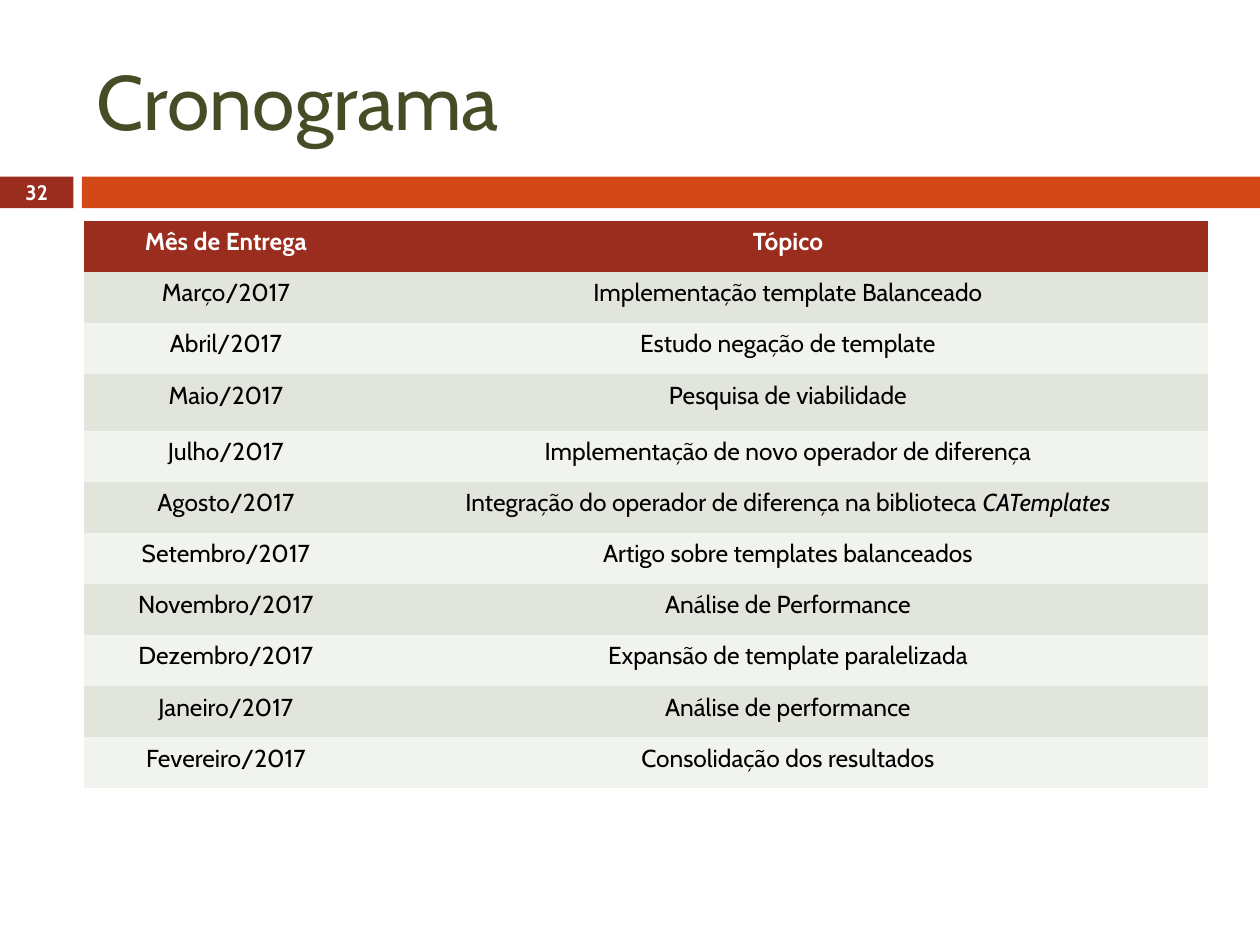
from pptx import Presentation
from pptx.dml.color import RGBColor
from pptx.enum.shapes import MSO_SHAPE
from pptx.enum.text import MSO_ANCHOR, PP_ALIGN
from pptx.oxml.ns import qn
from pptx.util import Cm, Pt

FONT = "Cabin"
DARK_RED, ORANGE, OLIVE = "9B2D1F", "D34817", "444D26"
WHITE, BLACK = "FFFFFF", "000000"
BANDS = ["E1E5DC", "F0F3EE"]
PLAIN_TABLE = "{2D5ABB26-0587-4C30-8999-92F81FD0307C}"
ROW_HEIGHT, TALL_ROW_HEIGHT, TALL_ROW = 1.03, 1.14, 3
MONTH_WIDTH = 5.71

SCHEDULE = [
    ("Mês de Entrega", "Tópico"),
    ("Março/2017", "Implementação template Balanceado"),
    ("Abril/2017", "Estudo negação de template"),
    ("Maio/2017", "Pesquisa de viabilidade"),
    ("Julho/2017", "Implementação de novo operador de diferença"),
    ("Agosto/2017", "Integração do operador de diferença na biblioteca ", "CATemplates"),
    ("Setembro/2017", "Artigo sobre templates balanceados"),
    ("Novembro/2017", "Análise de Performance"),
    ("Dezembro/2017", "Expansão de template paralelizada"),
    ("Janeiro/2017", "Análise de performance"),
    ("Fevereiro/2017", "Consolidação dos resultados"),
]


def paint(target, color):
    target.solid()
    target.fore_color.rgb = RGBColor.from_string(color)


def write(para, text, size=14, color=BLACK, bold=False, italic=False, align=PP_ALIGN.CENTER):
    para.alignment = align
    span = para.add_run()
    span.text = text
    font = span.font
    font.name, font.size, font.bold, font.italic = FONT, Pt(size), bold, italic
    font.color.rgb = RGBColor.from_string(color)


def add_bar(page, left, top, width, height, color):
    bar = page.shapes.add_shape(MSO_SHAPE.RECTANGLE, Cm(left), Cm(top), Cm(width), Cm(height))
    bar.shadow.inherit = False
    paint(bar.fill, color)
    bar.line.fill.background()
    return bar


def add_title(page, left, top, width, height, text):
    box = page.shapes.add_textbox(Cm(left), Cm(top), Cm(width), Cm(height))
    frame = box.text_frame
    frame.word_wrap = True
    frame.vertical_anchor = MSO_ANCHOR.MIDDLE
    write(frame.paragraphs[0], text, size=44, color=OLIVE, align=PP_ALIGN.LEFT)


def add_number_strip(page, left, top, width, height, number):
    number_width, gap = 1.48, 0.17
    badge = add_bar(page, left, top, number_width, height, DARK_RED)
    frame = badge.text_frame
    frame.margin_top = frame.margin_bottom = 0
    frame.vertical_anchor = MSO_ANCHOR.MIDDLE
    write(frame.paragraphs[0], number, size=12, color=WHITE, bold=True)
    offset = number_width + gap
    add_bar(page, left + offset, top, width - offset, height, ORANGE)


def add_schedule(page, left, top, width, rows):
    height = ROW_HEIGHT * (len(rows) - 1) + TALL_ROW_HEIGHT
    table = page.shapes.add_table(len(rows), 2, Cm(left), Cm(top), Cm(width), Cm(height)).table
    table._tbl.tblPr.find(qn("a:tableStyleId")).text = PLAIN_TABLE
    table.columns[0].width = Cm(MONTH_WIDTH)
    table.columns[1].width = Cm(width - MONTH_WIDTH)
    for index, (month, topic, *library) in enumerate(rows):
        table.rows[index].height = Cm(TALL_ROW_HEIGHT if index == TALL_ROW else ROW_HEIGHT)
        header = index == 0
        fill = DARK_RED if header else BANDS[(index - 1) % 2]
        for cell, text in zip(table.rows[index].cells, (month, topic)):
            paint(cell.fill, fill)
            write(cell.text_frame.paragraphs[0], text,
                  color=WHITE if header else BLACK, bold=header)
        for name in library:
            write(table.cell(index, 1).text_frame.paragraphs[0], name, italic=True)


def main():
    deck = Presentation()
    deck.slide_width, deck.slide_height = Cm(25.4), Cm(19.05)
    page = deck.slides.add_slide(deck.slide_layouts[6])
    add_number_strip(page, 0, 3.56, 25.4, 0.64, "32")
    add_title(page, 1.7, 0.64, 22.66, 2.74, "Cronograma")
    add_schedule(page, 1.7, 4.45, 22.66, SCHEDULE)
    deck.save("out.pptx")


if __name__ == "__main__":
    main()
